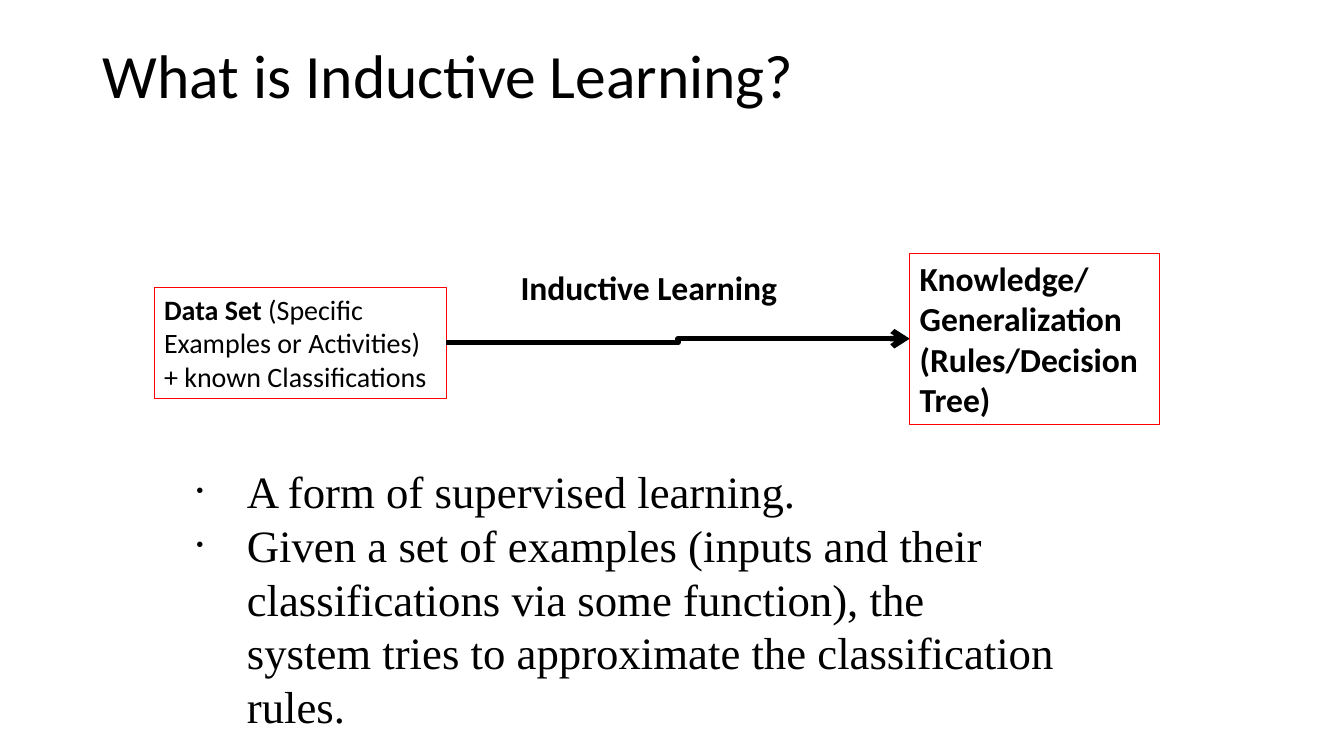
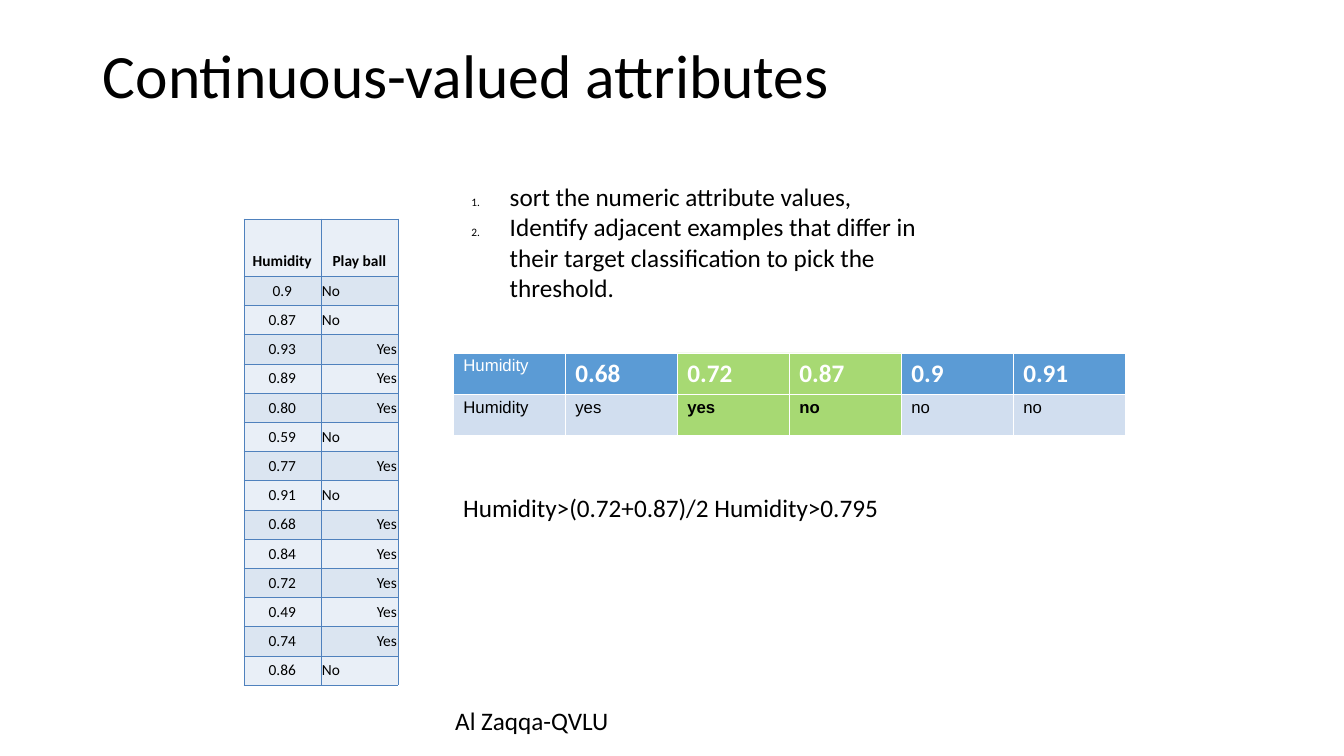
from dataclasses import dataclass

from lxml import etree
from pptx import Presentation
from pptx import util as u
from pptx.dml.color import RGBColor
from pptx.enum import shapes, text
from pptx.oxml import ns


@dataclass(frozen=True)
class Theme:
    ink: str = "000000"
    paper: str = "FFFFFF"
    frame: str = "FF0000"
    grid: str = "4F81BD"
    band_light: str = "E9EFF7"
    band_dark: str = "DBE5F1"
    header: str = "5B9BD5"
    row: str = "D1DEEF"
    highlight: str = "92D050"
    sans: str = "Calibri"
    serif: str = "Times New Roman"
    plain: str = "Arial"
    title: u.Length = u.Pt(44)
    bullet: u.Length = u.Pt(32)
    label: u.Length = u.Pt(24)
    detail: u.Length = u.Pt(20)
    body: u.Length = u.Pt(18)
    cell: u.Length = u.Pt(12)
    small: u.Length = u.Pt(11)


theme = Theme()
left, center, right = (text.PP_ALIGN.LEFT, text.PP_ALIGN.CENTER,
                       text.PP_ALIGN.RIGHT)

deck = Presentation()
deck.slide_width, deck.slide_height = u.Inches(13.34), u.Inches(7.5)


def area(x, y, width, height):
    """Turn percentages of the slide into left, top, width and height."""
    across, down = deck.slide_width / 100, deck.slide_height / 100
    return [int(x * across), int(y * down), int(width * across), int(height * down)]


def write(frame, lines, color=theme.ink, layout=None, **font):
    """Fill a text frame; each line is a list of (words, bold) spans."""
    for index, line in enumerate(lines):
        para = frame.paragraphs[0] if index == 0 else frame.add_paragraph()
        para_format = {"alignment": left, "space_before": u.Pt(0), **(layout or {})}
        for name, value in para_format.items():
            setattr(para, name, value)
        for words, bold in line:
            span = para.add_run()
            span.text = words
            for name, value in {"name": theme.sans, **font, "bold": bold}.items():
                setattr(span.font, name, value)
            span.font.color.rgb = RGBColor.from_string(color)


# Titles and lists, in the placeholders of both slides
pages = [
    {"title": "What is Inductive Learning?",
     "items": ["A form of supervised learning.",
               "Given a set of examples (inputs and their classifications via some "
               "function), the system tries to approximate the classification rules."],
     "area": area(13.87, 60.67, 65.37, 36.93),
     "font": {"name": theme.serif, "size": theme.bullet},
     "indent": 0.5, "marker": ("a:buChar", "char", "•")},
    {"title": "Continuous-valued attributes",
     "items": ["sort the numeric attribute values,",
               "Identify adjacent examples that differ in their target "
               "classification to pick the threshold."],
     "area": area(34.33, 23.33, 37.48, 17.33),
     "font": {"size": theme.body},
     "indent": 0.38, "marker": ("a:buAutoNum", "type", "arabicPeriod")},
]
slides = []
for page in pages:
    slide = deck.slides.add_slide(deck.slide_layouts[1])
    slides.append(slide)
    title, body = slide.placeholders
    for holder, place in ((title, area(6.9, 5.33, 86.21, 19.33)), (body, page["area"])):
        holder.left, holder.top, holder.width, holder.height = place
        holder.text_frame.vertical_anchor = text.MSO_ANCHOR.TOP
        holder.text_frame.auto_size = text.MSO_AUTO_SIZE.NONE
    write(title.text_frame, [[(page["title"], False)]],
          layout={"line_spacing": 0.9}, size=theme.title)
    write(body.text_frame, [[(item, False)] for item in page["items"]], **page["font"])

    # Small markers with a hanging indent
    tag, attribute, value = page["marker"]
    for para in body.text_frame.paragraphs:
        props = para._p.get_or_add_pPr()
        props.set("marL", str(u.Inches(page["indent"])))
        props.set("indent", str(-u.Inches(page["indent"])))
        marker_color = etree.SubElement(props, ns.qn("a:buClr"))
        etree.SubElement(marker_color, ns.qn("a:srgbClr"), val=theme.ink)
        etree.SubElement(props, ns.qn("a:buSzPct"), val="45000")
        etree.SubElement(props, ns.qn(tag)).set(attribute, value)
learning, attributes = slides

# Framed boxes at both ends of the learning arrow
ends = []
for place, spans, size in (
    (area(11.47, 38, 21.74, 14.67),
     [("Data Set ", True),
      ("(Specific Examples or Activities) + known Classifications", False)],
     theme.detail),
    (area(67.69, 33.47, 18.59, 22.67),
     [("Knowledge/Generalization (Rules/Decision Tree)", True)], theme.label),
):
    box = learning.shapes.add_shape(shapes.MSO_SHAPE.RECTANGLE, *place)
    box.shadow.inherit = False
    box.fill.background()
    box.line.color.rgb = RGBColor.from_string(theme.frame)
    box.line.width = u.Pt(0.75)
    box.text_frame.word_wrap = True
    box.text_frame.vertical_anchor = text.MSO_ANCHOR.TOP
    box.text_frame.auto_size = text.MSO_AUTO_SIZE.SHAPE_TO_FIT_TEXT
    write(box.text_frame, [spans], size=size)
    ends.append(box)

# Arrow from the data set to the knowledge
arrow = learning.shapes.add_connector(shapes.MSO_CONNECTOR.ELBOW, 0, 0, 0, 0)
arrow.begin_connect(ends[0], 3)
arrow.end_connect(ends[1], 1)
arrow.line.color.rgb = RGBColor.from_string(theme.ink)
arrow.line.width = u.Pt(4)
etree.SubElement(arrow.line._get_or_add_ln(), ns.qn("a:tailEnd"), type="arrow")
etree.SubElement(arrow._element.spPr, ns.qn("a:effectLst"))

# Free text: arrow label, threshold and footer
for slide, place, words, bold, size, alignment in (
    (learning, area(36.21, 34.67, 24.14, 6.67), "Inductive Learning", True,
     theme.label, center),
    (attributes, area(33.73, 64.4, 37.48, 5.33),
     "Humidity>(0.72+0.87)/2 Humidity>0.795", False, theme.body, left),
    (attributes, area(33.13, 92.67, 33.73, 5.33), "Al Zaqqa-QVLU", False,
     theme.body, left),
):
    box = slide.shapes.add_textbox(*place)
    box.text_frame.word_wrap = True
    write(box.text_frame, [[(words, bold)]], layout={"alignment": alignment}, size=size)

# Table contents
examples = [("Humidity", "Play ball"), ("0.9", "No"), ("0.87", "No"), ("0.93", "Yes"),
            ("0.89", "Yes"), ("0.80", "Yes"), ("0.59", "No"), ("0.77", "Yes"),
            ("0.91", "No"), ("0.68", "Yes"), ("0.84", "Yes"), ("0.72", "Yes"),
            ("0.49", "Yes"), ("0.74", "Yes"), ("0.86", "No")]
ordered = [("Humidity", "0.68", "0.72", "0.87", "0.9", "0.91"),
           ("Humidity", "yes", "yes", "no", "no", "no")]
answer_sides = {"Yes": right, "No": left}
threshold_columns = (2, 3)

# Both tables: the examples as given, then ordered by humidity
for rows, place, heights, border, border_width in (
    (examples, area(18.14, 28.93, 11.47, 61.73), [0.57] + [0.29] * 14, theme.grid, 0.23),
    (ordered, area(33.73, 46.67, 50, 10.8), [0.41] * 2, theme.paper, 0.45),
):
    table = attributes.shapes.add_table(len(rows), len(rows[0]), *place).table
    table.horz_banding = table.first_row = False
    for row, height in zip(table.rows, heights):
        row.height = u.Inches(height)
    for r, values in enumerate(rows):
        for c, value in enumerate(values):
            cell = table.cell(r, c)
            props = cell._tc.get_or_add_tcPr()
            for side in ("a:lnL", "a:lnR", "a:lnT", "a:lnB"):
                edge = etree.SubElement(props, ns.qn(side), w=str(u.Pt(border_width)))
                edge_fill = etree.SubElement(edge, ns.qn("a:solidFill"))
                etree.SubElement(edge_fill, ns.qn("a:srgbClr"), val=border)

            lit = rows is ordered and c in threshold_columns
            if rows is examples:
                fill = theme.band_dark if r % 2 else theme.band_light
                color, bold = theme.ink, r == 0
                font = {"size": theme.small}
                layout = {"line_spacing": 1.02,
                          "alignment": answer_sides.get(value, center)}
                cell.vertical_anchor = text.MSO_ANCHOR.BOTTOM
                cell.margin_left = cell.margin_right = u.Inches(0.01)
            else:
                number = r == 0 and c > 0
                fill = theme.row if r else theme.header
                color = theme.ink if r else theme.paper
                bold = number or lit
                font = ({"size": theme.body} if number
                        else {"name": theme.plain, "size": theme.cell})
                layout = {"line_spacing": 1.02 if number else 0.93}

            cell.fill.solid()
            cell.fill.fore_color.rgb = RGBColor.from_string(
                theme.highlight if lit else fill)
            if lit:
                shade = props.find(ns.qn("a:solidFill")).find(ns.qn("a:srgbClr"))
                etree.SubElement(shade, ns.qn("a:alpha"), val="80000")
            write(cell.text_frame, [[(value, bold)]], color, layout, **font)

deck.save("out.pptx")
